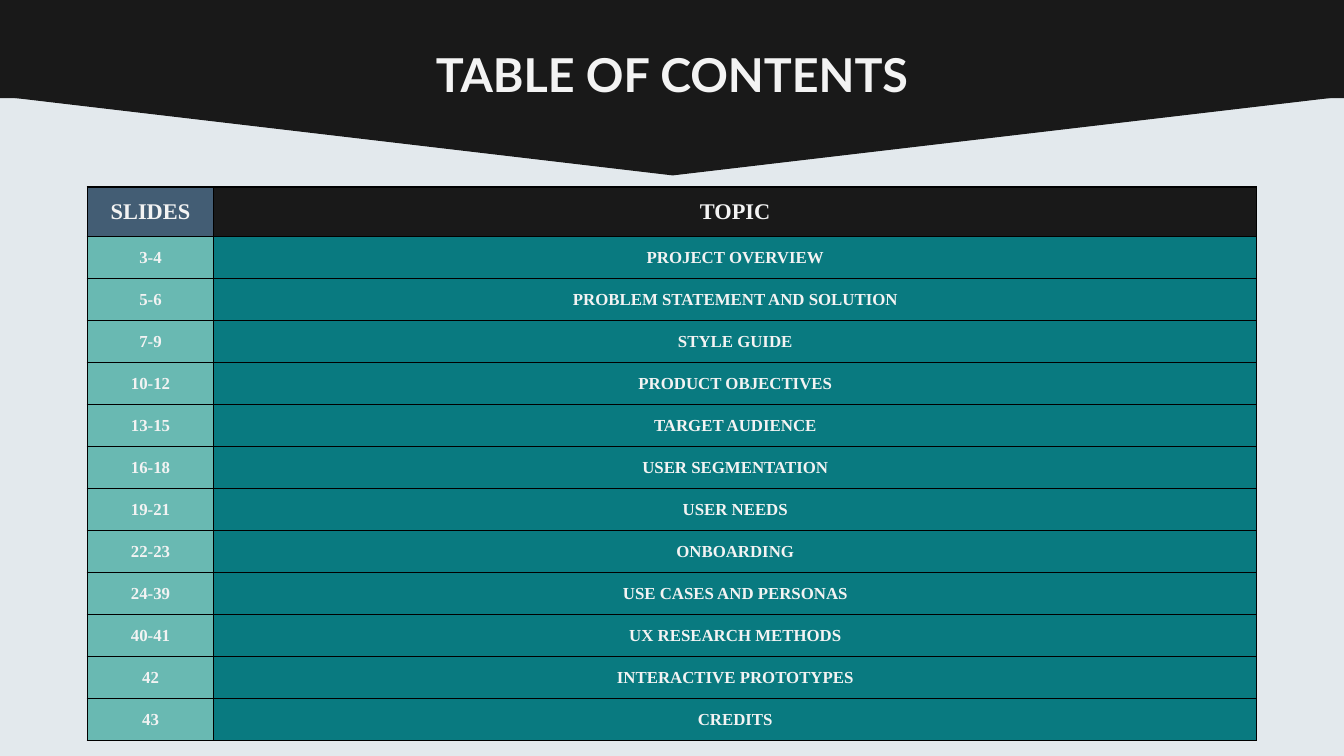
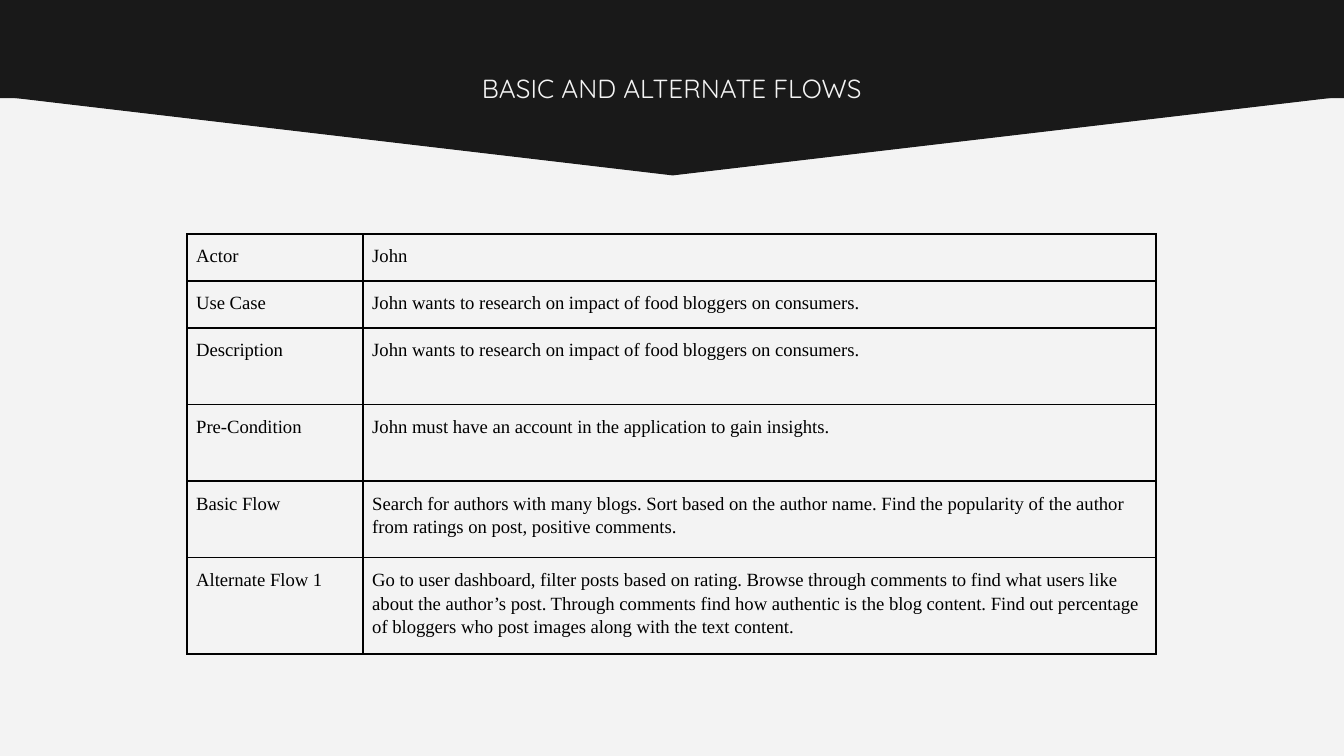
from dataclasses import dataclass

from lxml.etree import SubElement
from pptx import Presentation
from pptx.dml.color import RGBColor
from pptx.enum.shapes import MSO_SHAPE as Shape
from pptx.enum.text import MSO_ANCHOR as Anchor, PP_ALIGN as Align
from pptx.oxml.ns import qn
from pptx.util import Inches, Pt


@dataclass(frozen=True)
class Theme:
    dark: str = "191919"
    light: str = "F3F3F3"
    mist: str = "E3E9ED"
    slate: str = "435D74"
    mint: str = "69B9B2"
    teal: str = "097A80"
    black: str = "000000"
    table_font: str = "Times New Roman"
    header_size: float = 12
    topic_size: float = 9
    flow_size: float = 10
    line_spacing: float = 1.15
    border: float = 1
    cell_inset: float = 0.07
    title_inset: float = 0.1
    table_frame: float = 3.28


THEME = Theme()

CONTENTS = [
    ("SLIDES", "TOPIC"),
    ("3-4", "PROJECT OVERVIEW"),
    ("5-6", "PROBLEM STATEMENT AND SOLUTION"),
    ("7-9", "STYLE GUIDE"),
    ("10-12", "PRODUCT OBJECTIVES"),
    ("13-15", "TARGET AUDIENCE"),
    ("16-18", "USER SEGMENTATION"),
    ("19-21", "USER NEEDS"),
    ("22-23", "ONBOARDING"),
    ("24-39", "USE CASES AND PERSONAS"),
    ("40-41", "UX RESEARCH METHODS"),
    ("42", "INTERACTIVE PROTOTYPES"),
    ("43", "CREDITS"),
]

FLOWS = [
    ("Actor", "John"),
    ("Use Case", "John wants to research on impact of food bloggers on consumers."),
    ("Description", "John wants to research on impact of food bloggers on consumers."),
    ("Pre-Condition", "John must have an account in the application to gain insights."),
    ("Basic Flow", "Search for authors with many blogs. Sort based on the author name. "
     "Find the popularity of the author from ratings on post, positive comments."),
    ("Alternate Flow 1", "Go to user dashboard, filter posts based on rating. "
     "Browse through comments to find what users like about the author’s post. "
     "Through comments find how authentic is the blog content. "
     "Find out percentage of bloggers who post images along with the text content."),
]


def rgb(color):
    return RGBColor.from_string(color)


def set_font(paragraph, name, size, color, bold=False):
    font = paragraph.font
    font.name, font.size, font.bold = name, Pt(size), bold
    font.color.rgb = rgb(color)


def set_margins(target, inset):
    target.margin_left = target.margin_right = Inches(inset)
    target.margin_top = target.margin_bottom = Inches(inset)


def add_band(slide):
    parts = [(Shape.ISOSCELES_TRIANGLE, 0.71, 0.59, 180), (Shape.RECTANGLE, -0.21, 0.94, 0)]
    for kind, top, height, rotation in parts:
        shape = slide.shapes.add_shape(
            kind, Inches(-0.01), Inches(top), Inches(10.03), Inches(height))
        shape.rotation = rotation
        shape.shadow.inherit = False
        shape.fill.solid()
        shape.fill.fore_color.rgb = rgb(THEME.dark)
        if kind == Shape.RECTANGLE:
            shape.line.fill.background()
        else:
            shape.line.color.rgb = rgb(THEME.dark)
            shape.line.width = Pt(0.75)


def add_title(slide, text, box, font, size, bold):
    frame = slide.shapes.add_textbox(*map(Inches, box)).text_frame
    frame.word_wrap = True
    frame.vertical_anchor = Anchor.TOP
    set_margins(frame, THEME.title_inset)
    paragraph = frame.paragraphs[0]
    paragraph.text = text
    paragraph.alignment = Align.CENTER
    set_font(paragraph, font, size, THEME.light, bold)


def add_slide(presentation, background, **title):
    slide = presentation.slides.add_slide(presentation.slide_layouts[6])
    slide.background.fill.solid()
    slide.background.fill.fore_color.rgb = rgb(background)
    add_band(slide)
    add_title(slide, **title)
    return slide


def set_borders(cell):
    properties = cell._tc.get_or_add_tcPr()
    for side in ("a:lnL", "a:lnR", "a:lnT", "a:lnB"):
        line = SubElement(properties, qn(side), w=str(Pt(THEME.border)))
        fill = SubElement(line, qn("a:solidFill"))
        SubElement(fill, qn("a:srgbClr"), val=THEME.black)


def add_table(slide, rows, left, top, widths, heights, style):
    side = Inches(THEME.table_frame)
    frame = slide.shapes.add_table(
        len(rows), len(widths), Inches(left), Inches(top), side, side)
    table = frame.table
    table.first_row = table.horz_banding = False
    for column, width in zip(table.columns, widths):
        column.width = Inches(width)
    for row_index, (values, height) in enumerate(zip(rows, heights)):
        table.rows[row_index].height = Inches(height)
        for column_index, value in enumerate(values):
            cell = table.cell(row_index, column_index)
            fill, align, size, color, bold = style(row_index, column_index)
            set_margins(cell, THEME.cell_inset)
            set_borders(cell)
            if fill:
                cell.fill.solid()
                cell.fill.fore_color.rgb = rgb(fill)
            else:
                cell.fill.background()
            paragraph = cell.text_frame.paragraphs[0]
            paragraph.text = value
            paragraph.alignment = align
            paragraph.line_spacing = THEME.line_spacing
            set_font(paragraph, THEME.table_font, size, color, bold)
    frame.width = frame.height = side


def contents_style(row, column):
    fills = (THEME.mint, THEME.teal) if row else (THEME.slate, THEME.dark)
    size = THEME.topic_size if row else THEME.header_size
    return fills[column], Align.CENTER, size, THEME.light, True


def flow_style(row, column):
    return None, Align.LEFT, THEME.flow_size, THEME.black, False


def main():
    presentation = Presentation()
    presentation.slide_width = Inches(10)
    presentation.slide_height = Inches(10) * 9 // 16

    contents = add_slide(
        presentation, THEME.mist, text="TABLE OF CONTENTS",
        box=(1.97, 0.24, 6.06, 0.62), font="Lato", size=25, bold=True)
    add_table(contents, CONTENTS, 0.65, 1.39, (0.94, 7.76),
              [0.3] + [0.31] * (len(CONTENTS) - 1), contents_style)

    flows = add_slide(
        presentation, THEME.light, text="BASIC AND ALTERNATE FLOWS",
        box=(3.37, 0.44, 3.26, 0.54), font="Quicksand", size=14, bold=False)
    add_table(flows, FLOWS, 1.39, 1.74, (1.31, 5.9),
              [0.35] * 2 + [0.57] * (len(FLOWS) - 2), flow_style)

    presentation.save("out.pptx")


if __name__ == "__main__":
    main()
